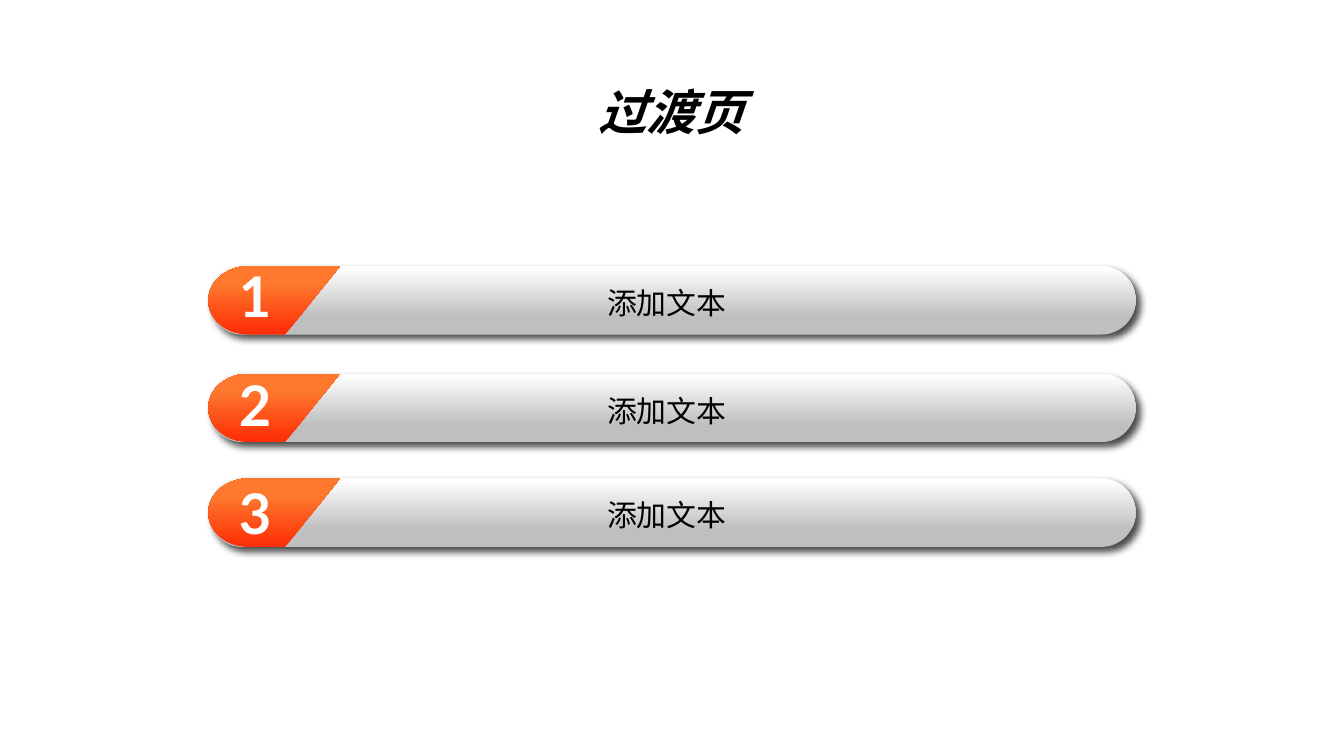
import math

from lxml import etree
from pptx import Presentation
from pptx import util as u
from pptx.dml.color import RGBColor
from pptx.enum import shapes, text
from pptx.oxml import ns

LEFT = 1.55
BAR_WIDTH = 6.9
BAR_HEIGHT = 0.51
ROWS = [("1", 1.98, 1.9), ("2", 2.78, 2.71), ("3", 3.56, 3.51)]


def color(value):
    return RGBColor.from_string(value)


def fill_gradient(shape, stops):
    shape.fill.gradient()
    shape.fill.gradient_angle = 90
    for stop, (position, value) in zip(shape.fill.gradient_stops, stops):
        stop.position = position
        stop.color.rgb = color(value)
    shape.line.fill.background()
    shape.shadow.inherit = False


def add_shadow(shape):
    effects = shape._element.spPr.find(ns.qn("a:effectLst"))
    shadow = etree.SubElement(
        effects, ns.qn("a:outerShdw"), blurRad=str(u.Pt(4)), dist=str(u.Pt(3)),
        dir="2700000", algn="tl", rotWithShape="0")
    shade = etree.SubElement(shadow, ns.qn("a:srgbClr"), val="000000")
    etree.SubElement(shade, ns.qn("a:alpha"), val="71000")


def add_text(parent, words, box, size, font, value,
             bold=False, italic=False, wrap=False, align=text.PP_ALIGN.LEFT):
    shape = parent.shapes.add_textbox(*map(u.Inches, box))
    frame = shape.text_frame
    frame.word_wrap = wrap
    frame.auto_size = text.MSO_AUTO_SIZE.SHAPE_TO_FIT_TEXT
    paragraph = frame.paragraphs[0]
    paragraph.text = words
    paragraph.alignment = align
    paragraph.font.size = u.Pt(size)
    paragraph.font.bold = bold
    paragraph.font.italic = italic
    paragraph.font.color.rgb = color(value)
    paragraph.font.name = font
    properties = paragraph._p.pPr.find(ns.qn("a:defRPr"))
    etree.SubElement(properties, ns.qn("a:ea"), typeface=font)


def add_bar(parent, top):
    bar = parent.shapes.add_shape(
        shapes.MSO_SHAPE.ROUNDED_RECTANGLE,
        *map(u.Inches, (LEFT, top, BAR_WIDTH, BAR_HEIGHT)))
    bar.adjustments[0] = 0.5
    fill_gradient(bar, [(0.25, "BFBFBF"), (0.98, "FFFFFF")])
    add_shadow(bar)


def add_tab(parent, top):
    radius_x, radius_y = 0.3, BAR_HEIGHT / 2
    points = [(LEFT + 0.98, top), (LEFT + 0.57, top + BAR_HEIGHT)]
    for degrees in range(90, 271, 6):
        angle = math.radians(degrees)
        points.append((LEFT + radius_x * (1 + math.cos(angle)),
                       top + radius_y * (1 + math.sin(angle))))
    points = [(u.Inches(x), u.Inches(y)) for x, y in points]
    builder = parent.shapes.build_freeform(*points[0])
    builder.add_line_segments(points[1:], close=True)
    fill_gradient(builder.convert_to_shape(), [(0, "FE2C05"), (0.74, "FE782E")])


def add_row(slide, number, top, number_top):
    group = slide.shapes.add_group_shape()
    add_bar(group, top)
    add_tab(group, top)
    add_text(group, number, (1.68, number_top, 0.47, 0.61),
             30, "Lato", "FFFFFF", bold=True)
    add_text(group, "添加文本", (4.42, top + 0.09, 1.2, 0.37),
             16, "Noto Sans CJK SC", "000000")


def main():
    presentation = Presentation()
    presentation.slide_width = u.Inches(10)
    presentation.slide_height = u.Inches(10 * 9 / 16)
    slide = presentation.slides.add_slide(presentation.slide_layouts[6])
    for number, top, number_top in ROWS:
        add_row(slide, number, top, number_top)
    add_text(slide, "过渡页", (3.45, 0.56, 3.09, 0.54), 26, "Noto Sans CJK JP",
             "000000", bold=True, italic=True, wrap=True,
             align=text.PP_ALIGN.CENTER)
    presentation.save("out.pptx")


if __name__ == "__main__":
    main()
